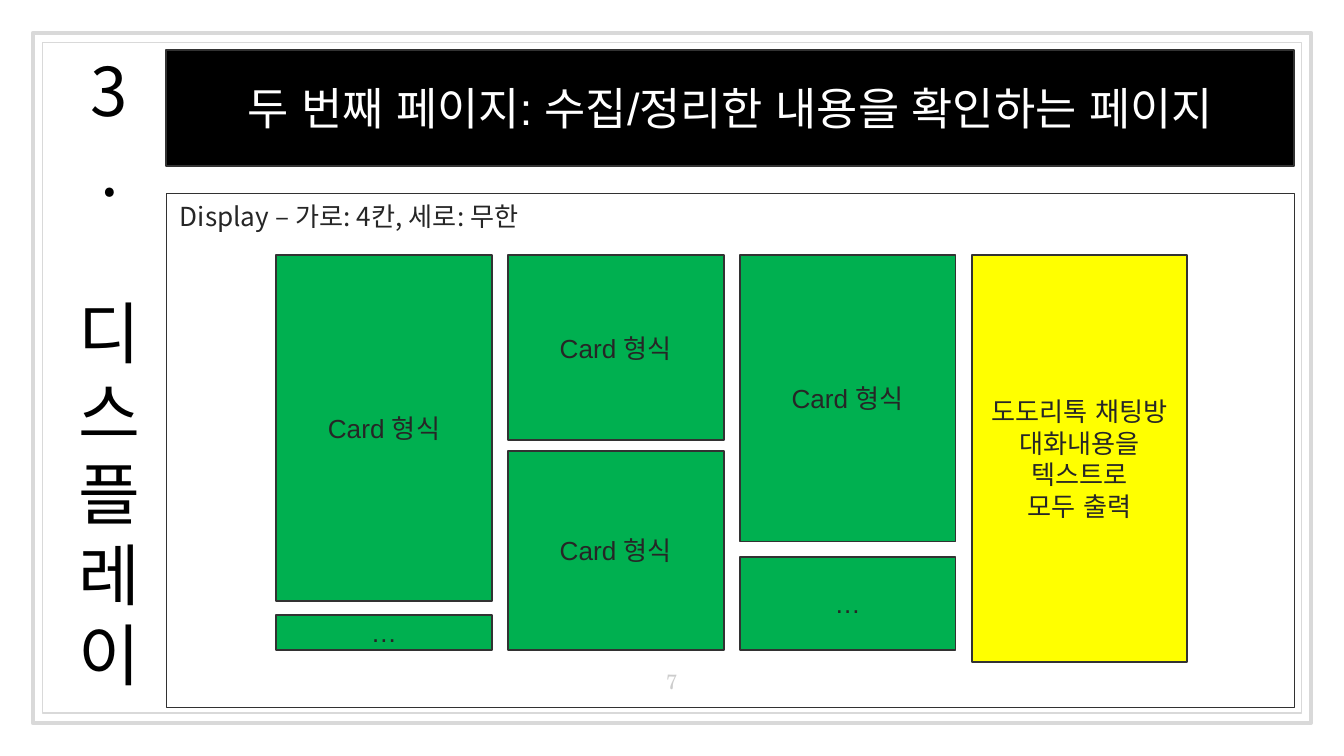
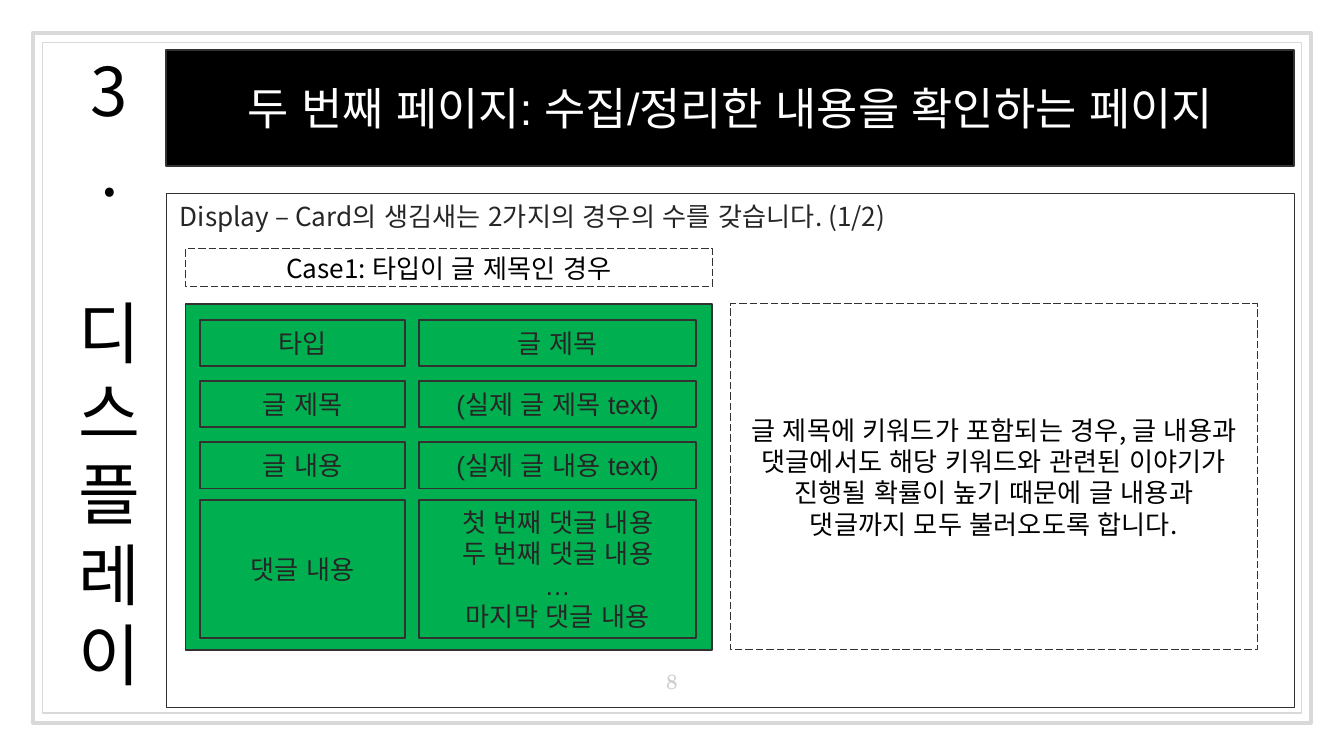
from dataclasses import dataclass

from lxml.etree import SubElement
from pptx import Presentation
from pptx.dml.color import RGBColor
from pptx.enum.dml import MSO_LINE as Dash
from pptx.enum.shapes import MSO_SHAPE as Shape
from pptx.enum.text import MSO_ANCHOR as Anchor, MSO_AUTO_SIZE as Fit, PP_ALIGN as Align
from pptx.oxml.ns import qn
from pptx.util import Pt

PX = 4572  # 200 px to the inch


@dataclass(frozen=True)
class Theme:
    black: str = "000000"
    white: str = "FFFFFF"
    ink: str = "262626"
    edge: str = "323232"
    frame: str = "D9D9D9"
    pale: str = "CCCCCC"
    green: str = "00B050"
    yellow: str = "FFFF00"
    sans: str = "Arial"
    korean: str = "Noto Sans CJK KR"
    serif: str = "TeX Gyre Schola"
    title: int = 36
    band: int = 24
    body: int = 14
    page: int = 11


T = Theme()


def write(frame, lines, size, color, font, align=Align.CENTER, anchor=Anchor.MIDDLE):
    """Fill a text frame, one paragraph a line; a newline inside a line is a soft break."""
    frame.word_wrap = True
    frame.auto_size = Fit.NONE
    frame.vertical_anchor = anchor
    for i, line in enumerate(lines):
        para = frame.paragraphs[0] if i == 0 else frame.add_paragraph()
        para.alignment = align
        para.font.size = Pt(size)
        for j, part in enumerate(line.split("\n")):
            if j:
                para.add_line_break()
            if not part:
                continue
            run = para.add_run()
            run.text = part
            run.font.size = Pt(size)
            run.font.name = font
            run.font.color.rgb = RGBColor.from_string(color)
            SubElement(run.font._element, qn("a:ea")).set("typeface", T.sans)


def box(shapes, place, fill=None, line=T.edge, width=1.0, dash=None):
    rect = shapes.add_shape(Shape.RECTANGLE, *[v * PX for v in place])
    rect.shadow.inherit = False
    if fill:
        rect.fill.solid()
        rect.fill.fore_color.rgb = RGBColor.from_string(fill)
    else:
        rect.fill.background()
    rect.line.color.rgb = RGBColor.from_string(line)
    rect.line.width = Pt(width)
    if dash:
        rect.line.dash_style = dash
    return rect


deck = Presentation()
deck.slide_width, deck.slide_height = 2000 * PX, 1125 * PX
deck.element.set("firstSlideNum", "7")
layout = deck.slide_layouts[0]

# What both slides share
pages = []
for number, note in (
    (7, "Display – 가로: 4칸, 세로: 무한"),
    (8, "Display – Card의 생김새는 2가지의 경우의 수를 갖습니다. (1/2)"),
):
    slide = deck.slides.add_slide(layout)
    shapes = slide.shapes
    pages.append(shapes)
    sub = slide.placeholders[1].element
    sub.getparent().remove(sub)

    title = shapes.title
    title.left, title.top, title.width, title.height = [v * PX for v in (78, 74, 170, 979)]
    page = shapes.add_textbox(940 * PX, 967 * PX, 120 * PX, 86 * PX)
    for frame in (title.text_frame, page.text_frame):
        frame.margin_left = frame.margin_right = 20 * PX
        frame.margin_top = frame.margin_bottom = 20 * PX
    write(title.text_frame, ["3\n.\n", "디스플레이"], T.title, T.black, T.korean,
          anchor=Anchor.BOTTOM)

    write(page.text_frame, [str(number)], T.page, T.pale, T.serif, anchor=Anchor.BOTTOM)
    field = page.text_frame.paragraphs[0].runs[0]._r
    field.tag = qn("a:fld")
    field.set("id", "{B6F15528-21DE-4FAA-801E-634DDDAF4B2B}")
    field.set("type", "slidenum")

    band = box(shapes, (247, 74, 1679, 173), T.black)
    write(band.text_frame, ["두 번째 페이지: 수집/정리한 내용을 확인하는 페이지"],
          T.band, T.white, T.sans)
    panel = box(shapes, (248, 288, 1678, 765), width=0.25)
    write(panel.text_frame, [note], T.body, T.ink, T.korean, Align.LEFT, Anchor.TOP)

# The double frame belongs to the layout
for i, (place, width) in enumerate((((49, 49, 1902, 1027), 2.25), ((63, 63, 1874, 998), 0.75))):
    rim = box(pages[0], place, line=T.frame, width=width)
    layout.shapes.element.insert(2 + i, rim.element)

# Four columns of cards: top, height, lines
first, second = pages
card, more = ["Card 형식"], ["…"]
chat = ["도도리톡 채팅방", "대화내용을", "텍스트로", "모두 출력"]
columns = (
    (T.green, ((380, 515, card), (915, 52, more))),
    (T.green, ((380, 275, card), (671, 296, card))),
    (T.green, ((380, 426, card), (829, 138, more))),
    (T.yellow, ((380, 605, chat),)),
)
for i, (fill, cards) in enumerate(columns):
    for top, height, lines in cards:
        rect = box(first, (411 + 345 * i, top, 321, height), fill)
        write(rect.text_frame, lines, T.body, T.ink, T.sans)

# One card in detail, with its case and reason
case = box(second, (276, 370, 784, 57), width=0.5, dash=Dash.LONG_DASH)
write(case.text_frame, ["Case1: 타입이 글 제목인 경우"], T.body, T.black, T.korean)

group = second.add_group_shape().shapes
box(group, (276, 452, 784, 515), T.green)
rows = (
    (476, 69, ["타입"], ["글 제목"]),
    (567, 69, ["글 제목"], ["(실제 글 제목 text)"]),
    (658, 69, ["글 내용"], ["(실제 글 내용 text)"]),
    (744, 206, ["댓글 내용"],
     ["첫 번째 댓글 내용", "두 번째 댓글 내용", "…", "마지막 댓글 내용"]),
)
for top, height, name, value in rows:
    for left, width, lines in ((298, 305, name), (624, 412, value)):
        rect = box(group, (left, top, width, height), T.green)
        write(rect.text_frame, lines, T.body, T.ink, T.sans)

reason = box(second, (1087, 452, 784, 515), width=0.5, dash=Dash.LONG_DASH)
write(reason.text_frame,
      ["글 제목에 키워드가 포함되는 경우, 글 내용과 댓글에서도 해당 키워드와 관련된 "
       "이야기가 진행될 확률이 높기 때문에 글 내용과 댓글까지 모두 불러오도록 합니다."],
      T.body, T.black, T.korean)

deck.save("out.pptx")
